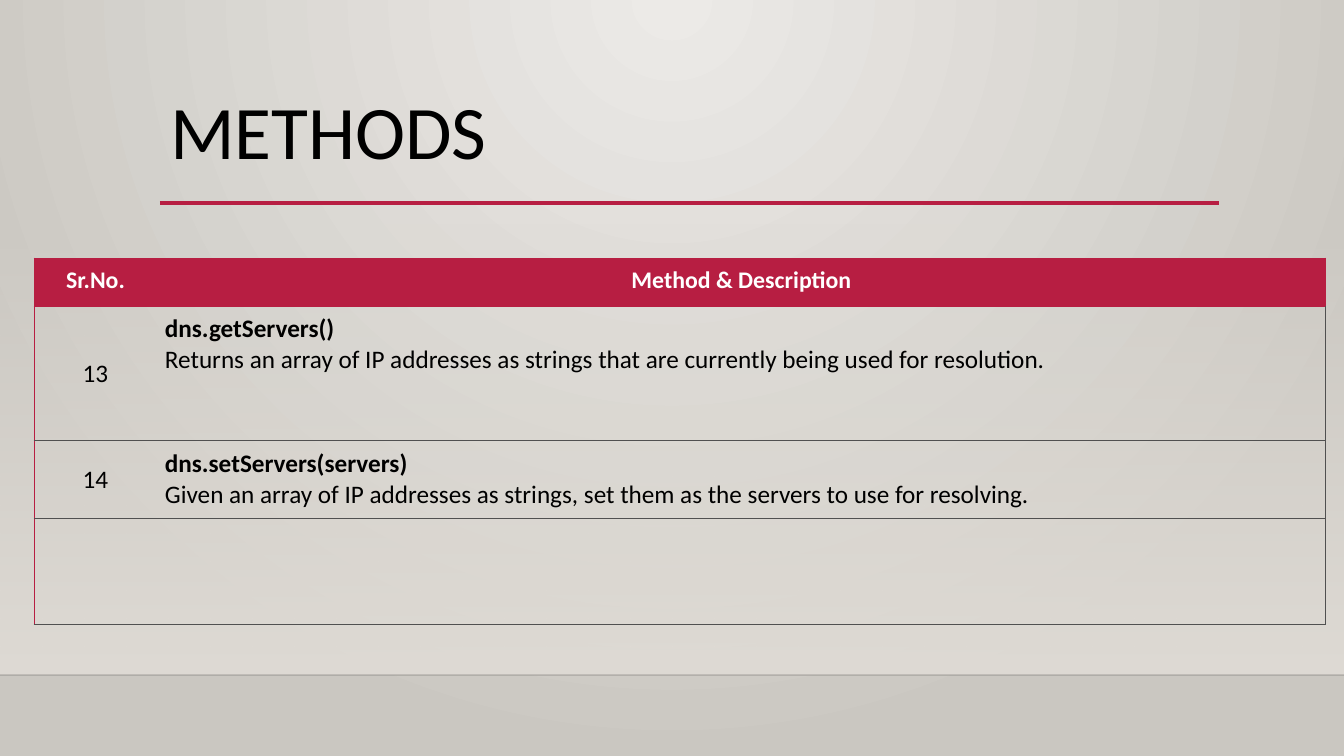
from dataclasses import dataclass

from lxml import etree
from pptx import Presentation
from pptx import util as u
from pptx.dml.color import RGBColor
from pptx.enum import shapes, text
from pptx.oxml import parse_xml
from pptx.oxml.ns import nsdecls, qn

WIDTH, HEIGHT = 1344, 756
EMU_PER_PX = 12192000 / WIDTH
FONT = "Calibri"
CRIMSON = RGBColor(0xB7, 0x1E, 0x42)
RULE_DARK = RGBColor(0x50, 0x50, 0x50)
BLACK = RGBColor(0, 0, 0)
WHITE = RGBColor(0xFF, 0xFF, 0xFF)
GLOW = RGBColor(0xEC, 0xEA, 0xE7)
STONE = RGBColor(0xCA, 0xC7, 0xC1)
SAND = RGBColor(0xDF, 0xDB, 0xD5)

RADIAL = ('<a:path path="circle"><a:fillToRect l="43000" t="0" r="43000" '
          'b="100000"/></a:path>')
DOWNWARD = '<a:lin ang="5400000" scaled="0"/>'


@dataclass
class Stop:
    position: int
    color: RGBColor
    opacity: int = 100


@dataclass
class Rule:
    left: int
    right: int
    y: int
    color: RGBColor
    points: float
    opacity: int = 100


@dataclass
class Method:
    number: str
    name: str
    description: str


RULES = [
    Rule(0, WIDTH, 675, BLACK, 1, 20),
    Rule(160, 1219, 203, CRIMSON, 2.5),
]
HEADINGS = ["Sr.No.", "Method & Description"]
METHODS = [
    Method("13", "dns.getServers()",
           "Returns an array of IP addresses as strings that are currently "
           "being used for resolution."),
    Method("14", "dns.setServers(servers)",
           "Given an array of IP addresses as strings, set them as the "
           "servers to use for resolving."),
]
COLUMN_WIDTHS = [123, 1169]
ROW_HEIGHTS = [48, 135, 78, 106]


def px(length: int) -> u.Emu:
    return u.Emu(round(length * EMU_PER_PX))


def color_xml(color: RGBColor, opacity: int = 100) -> str:
    return (f'<a:srgbClr val="{color}"><a:alpha val="{opacity * 1000}"/>'
            '</a:srgbClr>')


def set_gradient(fill, properties, stops: list[Stop], direction: str) -> None:
    fill.gradient()
    stop_xml = "".join(
        f'<a:gs pos="{stop.position * 1000}">'
        f'{color_xml(stop.color, stop.opacity)}</a:gs>' for stop in stops)
    gradient = parse_xml(
        f'<a:gradFill {nsdecls("a")} rotWithShape="1"><a:gsLst>{stop_xml}'
        f'</a:gsLst>{direction}</a:gradFill>')
    properties.replace(properties.find(qn("a:gradFill")), gradient)


def draw_rule(slide, rule: Rule) -> None:
    connector = slide.shapes.add_connector(
        shapes.MSO_CONNECTOR.STRAIGHT,
        px(rule.left), px(rule.y), px(rule.right), px(rule.y))
    connector.line.width = u.Pt(rule.points)
    connector.line.color.rgb = rule.color
    color = connector.line._ln.find(".//" + qn("a:srgbClr"))
    etree.SubElement(color, qn("a:alpha"), val=str(rule.opacity * 1000))
    etree.SubElement(connector._element.spPr, qn("a:effectLst"))


def add_run(paragraph, wording: str, size: int, color: RGBColor,
            bold: bool = False) -> None:
    run = paragraph.add_run()
    run.text = wording
    run.font.name = FONT
    run.font.size = u.Pt(size)
    run.font.bold = bold
    run.font.color.rgb = color


def set_borders(cell, borders: dict[str, RGBColor | None]) -> None:
    properties = cell._tc.get_or_add_tcPr()
    for index, side in enumerate("LRTB"):
        color = borders.get(side)
        paint = (f"<a:solidFill>{color_xml(color)}</a:solidFill>"
                 if color is not None else "<a:noFill/>")
        properties.insert(index, parse_xml(
            f'<a:ln{side} {nsdecls("a")} w="9525">{paint}</a:ln{side}>'))


def draw_table(slide) -> None:
    table = slide.shapes.add_table(
        len(ROW_HEIGHTS), len(COLUMN_WIDTHS), px(34), px(258),
        px(sum(COLUMN_WIDTHS)), px(sum(ROW_HEIGHTS))).table
    table.first_row = table.horz_banding = False
    for column, width in zip(table.columns, COLUMN_WIDTHS):
        column.width = px(width)

    # Cell frames and fills
    for row_index, height in enumerate(ROW_HEIGHTS):
        table.rows[row_index].height = px(height)
        is_header = row_index == 0
        for column_index in range(len(COLUMN_WIDTHS)):
            cell = table.cell(row_index, column_index)
            cell.margin_left = cell.margin_right = px(8)
            cell.margin_top = cell.margin_bottom = px(8)
            set_borders(cell, {
                "L": CRIMSON if column_index == 0 else None,
                "R": None if column_index == 0
                else CRIMSON if is_header else RULE_DARK,
                "T": CRIMSON if row_index < 2 else RULE_DARK,
                "B": CRIMSON if is_header else RULE_DARK,
            })
            if is_header:
                cell.fill.solid()
                cell.fill.fore_color.rgb = CRIMSON
            else:
                cell.fill.background()

    # Header wording
    for column_index, heading in enumerate(HEADINGS):
        paragraph = table.cell(0, column_index).text_frame.paragraphs[0]
        paragraph.alignment = text.PP_ALIGN.CENTER
        add_run(paragraph, heading, 17, WHITE, bold=True)

    # Method rows
    for row_index, method in enumerate(METHODS, start=1):
        number_cell = table.cell(row_index, 0)
        number_cell.vertical_anchor = text.MSO_ANCHOR.MIDDLE
        paragraph = number_cell.text_frame.paragraphs[0]
        paragraph.alignment = text.PP_ALIGN.CENTER
        add_run(paragraph, method.number, 18, BLACK)

        frame = table.cell(row_index, 1).text_frame
        name, description = frame.paragraphs[0], frame.add_paragraph()
        name.alignment = description.alignment = text.PP_ALIGN.JUSTIFY
        add_run(name, method.name, 18, BLACK, bold=True)
        add_run(description, method.description, 18, BLACK)


def main() -> None:
    presentation = Presentation()
    presentation.slide_width, presentation.slide_height = px(WIDTH), px(HEIGHT)
    slide = presentation.slides.add_slide(presentation.slide_layouts[5])

    # Background and wall
    fill = slide.background.fill
    set_gradient(fill, slide._element.cSld.bg.bgPr,
                 [Stop(0, GLOW), Stop(100, STONE)], RADIAL)
    wall = slide.shapes.add_shape(
        shapes.MSO_SHAPE.RECTANGLE, 0, px(223), px(WIDTH), px(452))
    wall.shadow.inherit = False
    wall.line.fill.background()
    set_gradient(wall.fill, wall._element.spPr,
                 [Stop(0, SAND, 0), Stop(100, SAND)], DOWNWARD)
    for rule in RULES:
        draw_rule(slide, rule)

    # Title
    title = slide.shapes.title
    title.left, title.top = px(160), px(89)
    title.width, title.height = px(1058), px(116)
    title.text_frame.vertical_anchor = text.MSO_ANCHOR.TOP
    paragraph = title.text_frame.paragraphs[0]
    paragraph.alignment = text.PP_ALIGN.LEFT
    paragraph.line_spacing = 0.9
    add_run(paragraph, "METHODS", 54, BLACK)

    draw_table(slide)
    presentation.save("out.pptx")


if __name__ == "__main__":
    main()
